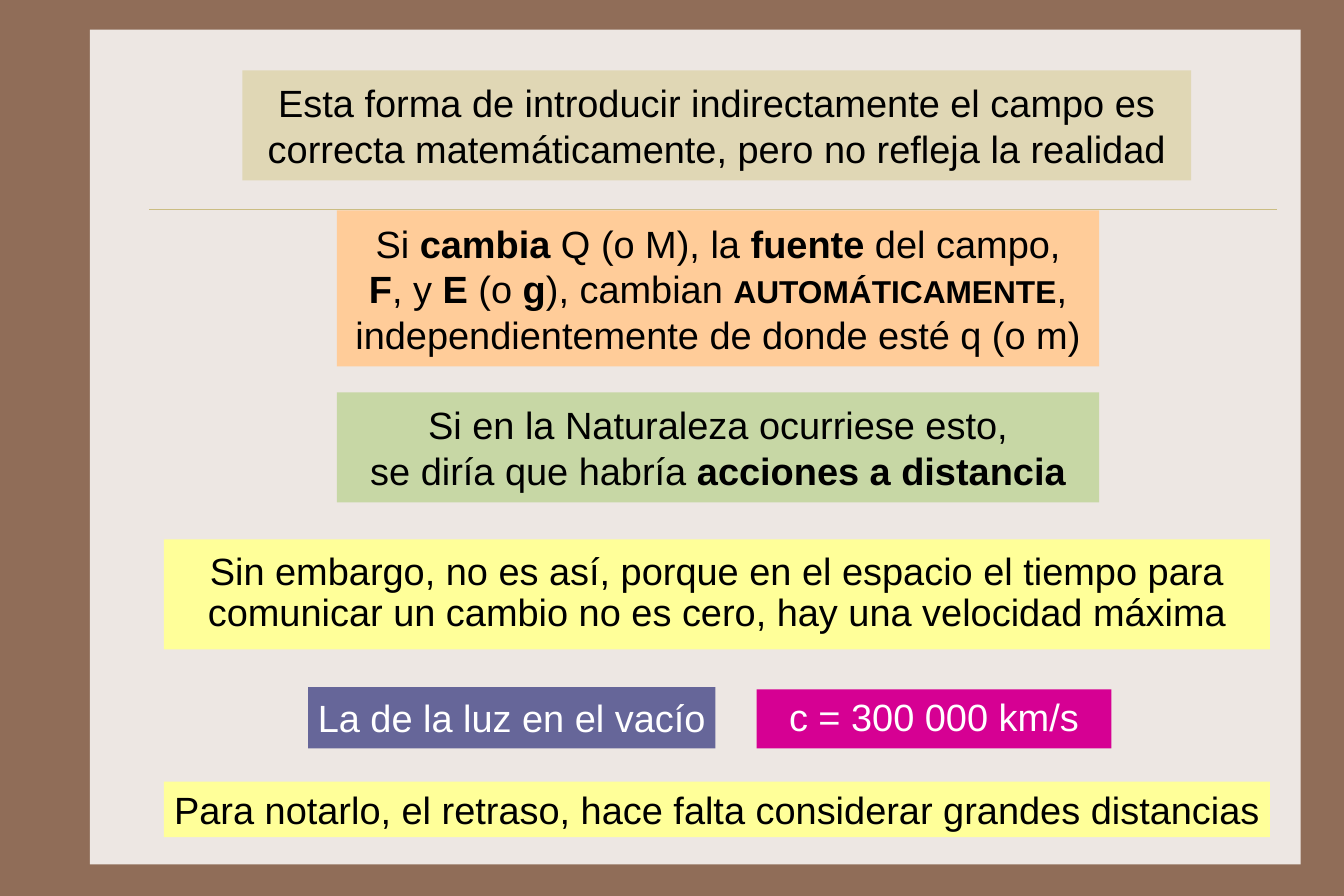
import dataclasses

import lxml.etree
import pptx
import pptx.dml.color
import pptx.enum.shapes
import pptx.enum.text
import pptx.oxml.ns
import pptx.util

Cm = pptx.util.Cm
Pt = pptx.util.Pt
ANCHOR = pptx.enum.text.MSO_ANCHOR


@dataclasses.dataclass(frozen=True)
class Theme:
    """Colours, type sizes and font of the slide."""
    font: str = "Arial"
    text_size: int = 24
    emphasis_size: int = 20
    ink: str = "000000"
    light_ink: str = "FFFFFF"
    border: str = "906D58"
    panel: str = "EDE7E3"
    rule: str = "CBBD83"
    sand: str = "E0D7B5"
    peach: str = "FFCC99"
    green: str = "C7D7A5"
    yellow: str = "FFFF99"
    violet: str = "666699"
    magenta: str = "D60093"


@dataclasses.dataclass(frozen=True)
class Box:
    """A rectangle measured in centimetres."""
    left: float
    top: float
    width: float
    height: float

    def within(self, left, top, width, height):
        """Return a box placed relative to this one."""
        return Box(self.left + left, self.top + top, width, height)

    def lengths(self):
        """Return left, top, width and height as lengths."""
        return [Cm(side) for side in (self.left, self.top, self.width, self.height)]


THEME = Theme()
BOLD = {"bold": True}
EMPHASIS = {"bold": True, "size": THEME.emphasis_size}


def rgb(code):
    """Turn a hex code into a colour."""
    return pptx.dml.color.RGBColor.from_string(code)


def paint(shape, fill):
    """Give a shape a plain fill without outline."""
    shape.fill.solid()
    shape.fill.fore_color.rgb = rgb(fill)
    shape.line.fill.background()


def add_panel(slide, box, fill):
    """Add a plain filled rectangle."""
    panel = slide.shapes.add_shape(
        pptx.enum.shapes.MSO_SHAPE.RECTANGLE, *box.lengths())
    panel.shadow.inherit = False
    paint(panel, fill)
    return panel


def add_run(paragraph, text, bold=False, size=THEME.text_size, color=THEME.ink):
    """Append formatted text to a paragraph."""
    run = paragraph.add_run()
    run.text = text
    run.font.name = THEME.font
    run.font.size = Pt(size)
    run.font.bold = bold
    run.font.color.rgb = rgb(color)


def write(shape, lines, color=THEME.ink, inset=(0.3, 0.2),
          anchor=ANCHOR.MIDDLE, spacing=1.0):
    """Fill a shape with centred lines, each a list of text and format pairs."""
    frame = shape.text_frame
    frame.word_wrap = True
    frame.auto_size = pptx.enum.text.MSO_AUTO_SIZE.NONE
    frame.vertical_anchor = anchor
    frame.margin_left = frame.margin_right = Cm(inset[0])
    frame.margin_top = frame.margin_bottom = Cm(inset[1])
    for index, line in enumerate(lines):
        paragraph = frame.add_paragraph() if index else frame.paragraphs[0]
        paragraph.alignment = pptx.enum.text.PP_ALIGN.CENTER
        paragraph.line_spacing = spacing
        for text, style in line:
            add_run(paragraph, text, color=color, **style)


def draw_frame(slide, box):
    """Draw the background, the inner panel and the rule under the title."""
    slide.background.fill.solid()
    slide.background.fill.fore_color.rgb = rgb(THEME.border)
    add_panel(slide, box, THEME.panel)
    left, top = box.left + 1.32, box.top + 4.01
    rule = slide.shapes.add_connector(
        pptx.enum.shapes.MSO_CONNECTOR.STRAIGHT,
        Cm(left), Cm(top), Cm(left + 25.17), Cm(top))
    rule.line.color.rgb = rgb(THEME.rule)
    rule.line.width = Pt(0.25)
    lxml.etree.SubElement(
        rule.element.spPr, pptx.oxml.ns.qn("a:effectLst"))


def draw_title(slide, box):
    """Place the opening statement in the title placeholder."""
    title = slide.shapes.title
    title.left, title.top, title.width, title.height = box.lengths()
    paint(title, THEME.sand)
    write(title, [
        [("Esta forma de introducir indirectamente el campo es", {})],
        [("correcta matemáticamente, pero no refleja la realidad", {})],
    ])


def draw_hypothesis(slide, box):
    """Stack the change of the source above its consequence in nature."""
    change = add_panel(slide, box.within(0, 0, box.width, 3.48), THEME.peach)
    write(change, [
        [("Si ", {}), ("cambia", BOLD), (" Q (o M), la ", {}),
         ("fuente ", BOLD), ("del campo,", {})],
        [("F", BOLD), (", y", {}), (" E", BOLD), (" (o ", {}), ("g", BOLD),
         ("), cambian ", {}), ("AUTOMÁTICAMENTE", EMPHASIS), (",", {})],
        [("independientemente de donde esté q (o m)", {})],
    ])
    nature = add_panel(slide, box.within(0, 4.06, box.width, 2.46), THEME.green)
    write(nature, [
        [("Si en la Naturaleza ocurriese esto,", {})],
        [("se diría que habría ", {}), ("acciones a distancia", BOLD)],
    ])


def draw_reality(slide, box):
    """Show the speed limit, its value and what it takes to notice it."""
    limit = add_panel(slide, box.within(0, 0, box.width, 2.46), THEME.yellow)
    write(limit, [[(
        "Sin embargo, no es así, porque en el espacio el tiempo para "
        "comunicar un cambio no es cero, hay una velocidad máxima", {})]],
        inset=(0.3, 0.3), anchor=ANCHOR.TOP, spacing=0.9)
    light = add_panel(slide, box.within(3.22, 3.3, 9.09, 1.37), THEME.violet)
    write(light, [[("La de la luz en el vacío", {})]],
          color=THEME.light_ink, inset=(0.15, 0.13))
    speed = add_panel(slide, box.within(13.23, 3.35, 7.92, 1.32), THEME.magenta)
    write(speed, [[("c = 300 000 km/s", {})]],
          color=THEME.light_ink, inset=(0.2, 0.2), spacing=0.9)
    delay = add_panel(slide, box.within(0, 5.41, box.width, 1.24), THEME.yellow)
    write(delay, [[(
        "Para notarlo, el retraso, hace falta considerar grandes distancias",
        {})]], inset=(0.15, 0.13))


def main():
    """Build the slide and save it."""
    deck = pptx.Presentation()
    deck.slide_width, deck.slide_height = Pt(850.5), Pt(567)
    slide = deck.slides.add_slide(deck.slide_layouts.get_by_name("Title Only"))
    panel = Box(2.01, 0.66, 27.03, 18.64)
    draw_frame(slide, panel)
    slide.shapes.element.append(slide.shapes.title.element)
    draw_title(slide, panel.within(3.4, 0.91, 21.18, 2.46))
    draw_hypothesis(slide, panel.within(5.51, 4.04, 17.02, 6.52))
    draw_reality(slide, panel.within(1.65, 11.38, 24.69, 6.65))
    deck.save("out.pptx")


if __name__ == "__main__":
    main()
